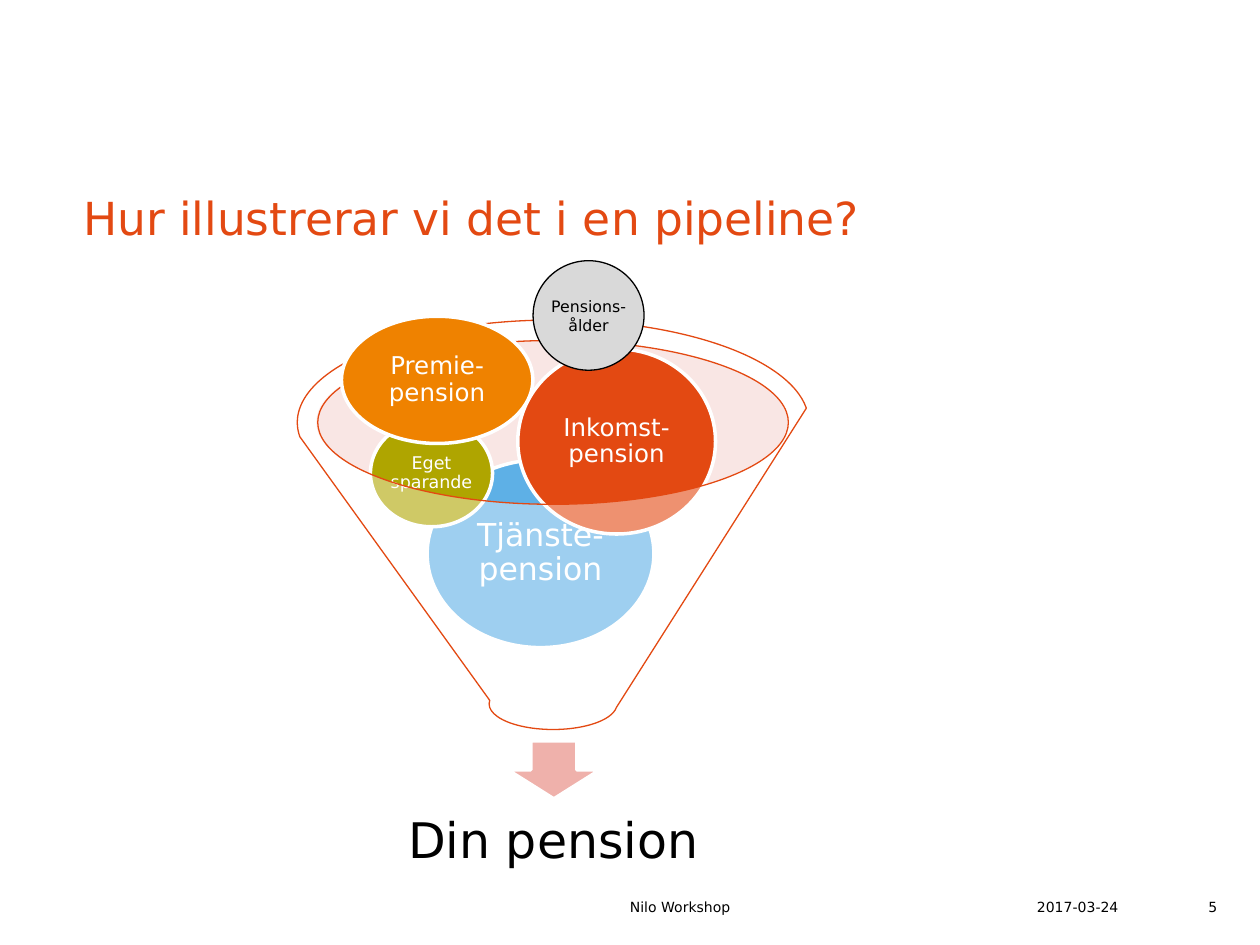
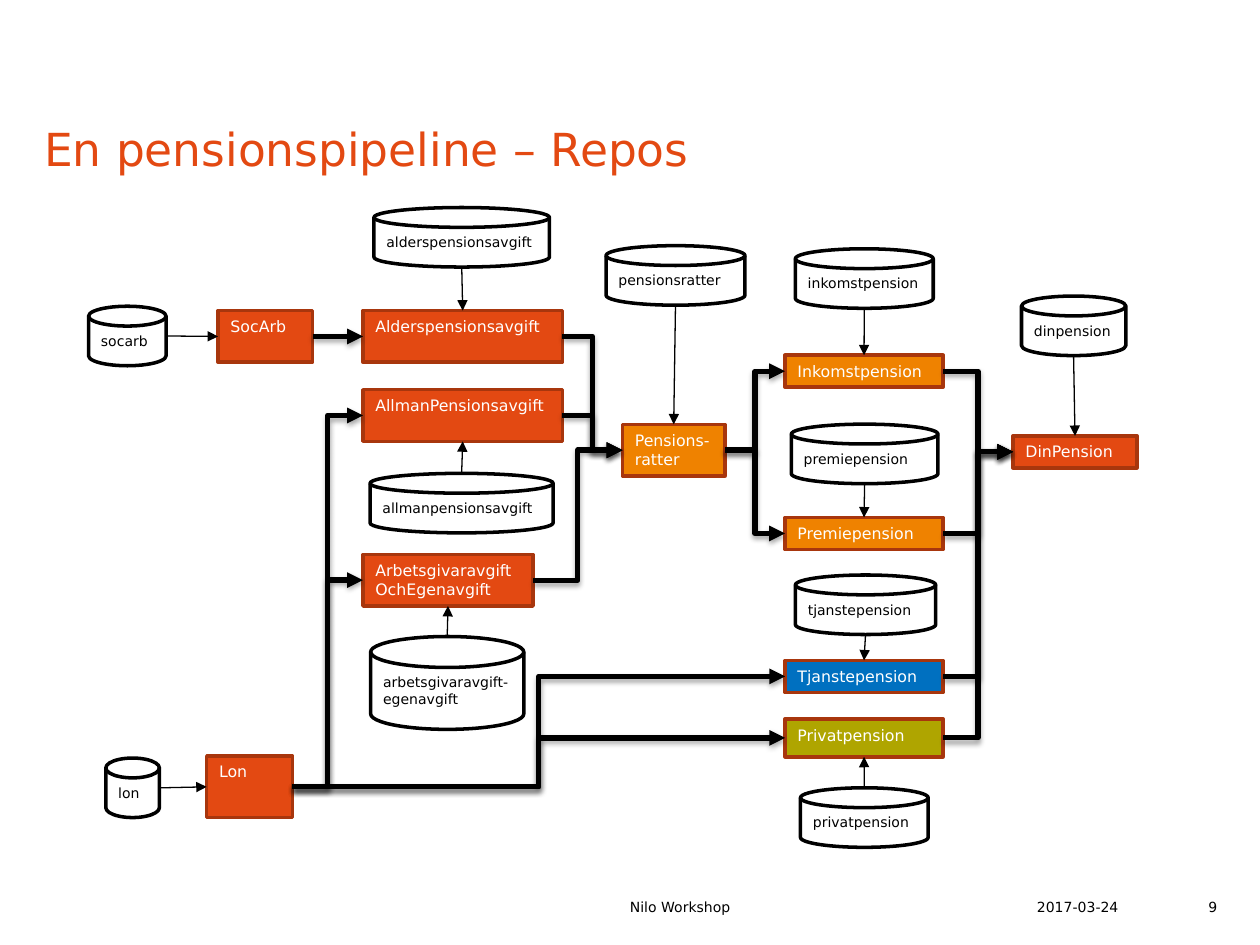
from lxml.etree import SubElement
from pptx import Presentation
from pptx.dml.color import RGBColor
from pptx.enum.shapes import MSO_CONNECTOR, MSO_SHAPE
from pptx.enum.text import MSO_ANCHOR, MSO_AUTO_SIZE, PP_ALIGN
from pptx.oxml.ns import qn
from pptx.util import Pt

RED = RGBColor(0xE3, 0x49, 0x12)
DARK_RED = RGBColor(0xA8, 0x36, 0x0D)
ORANGE = RGBColor(0xEF, 0x82, 0x00)
OLIVE = RGBColor(0xAF, 0xA5, 0x00)
BLUE = RGBColor(0x00, 0x70, 0xC0)
LIGHT_BLUE = RGBColor(0x5E, 0xB0, 0xE6)
PINK = RGBColor(0xF2, 0xC1, 0xBD)
ARROW_PINK = RGBColor(0xEF, 0xB1, 0xAB)
GREY = RGBColor(0xD9, 0xD9, 0xD9)
WHITE = RGBColor(0xFF, 0xFF, 0xFF)
BLACK = RGBColor(0x00, 0x00, 0x00)
FONT = "DejaVu Sans"
MARGINS = (7.2, 3.6)


def write(shape, text, size, color, align=PP_ALIGN.LEFT, anchor=MSO_ANCHOR.TOP,
          margins=MARGINS, spacing=1.0):
    """Fill the shape's text frame; margins are (sides, top and bottom)."""
    side, edge = margins
    frame = shape.text_frame
    frame.text = text
    frame_format = {
        "word_wrap": True, "auto_size": MSO_AUTO_SIZE.NONE, "vertical_anchor": anchor,
        "margin_left": Pt(side), "margin_right": Pt(side),
        "margin_top": Pt(edge), "margin_bottom": Pt(edge),
    }
    for name, value in frame_format.items():
        setattr(frame, name, value)
    for para in frame.paragraphs:
        para.alignment = align
        para.line_spacing = spacing
        for name, value in {"name": FONT, "size": Pt(size)}.items():
            setattr(para.font, name, value)
        para.font.color.rgb = color


def draw(page, kind, place, fill, line=None, width=2, opacity=None):
    shape = page.shapes.add_shape(kind, *map(Pt, place))
    shape.shadow.inherit = False
    shape.fill.solid()
    shape.fill.fore_color.rgb = fill
    if opacity:
        tint = shape.element.spPr.find(qn("a:solidFill"))[0]
        SubElement(tint, qn("a:alpha"), val=str(opacity * 1000))
    if line is None:
        shape.line.fill.background()
    else:
        shape.line.color.rgb = line
        shape.line.width = Pt(width)
    return shape


deck = Presentation()
deck.slide_width, deck.slide_height = Pt(720), Pt(540)

# Shared title and footer
pages = []
for title_text, left, top, number in (
    ("Hur illustrerar vi det i en pipeline?", 40.3, 77.8, "5"),
    ("En pensionspipeline – Repos", 18, 38.2, "9"),
):
    page = deck.slides.add_slide(deck.slide_layouts[5])
    title = page.shapes.title
    title.left, title.top, title.width, title.height = map(Pt, (left, top, 638.6, 65.5))
    write(title, title_text, 26, RED, anchor=MSO_ANCHOR.BOTTOM, spacing=Pt(30))
    for text, left, width, align, anchor in (
        ("Nilo Workshop", 352.8, 226.8, PP_ALIGN.LEFT, MSO_ANCHOR.MIDDLE),
        ("2017-03-24", 585.4, 70.6, PP_ALIGN.LEFT, MSO_ANCHOR.BOTTOM),
        (number, 661.7, 41, PP_ALIGN.RIGHT, MSO_ANCHOR.BOTTOM),
    ):
        footer = page.shapes.add_textbox(Pt(left), Pt(509.8), Pt(width), Pt(17))
        write(footer, text, 8, BLACK, align, anchor)
    pages.append(page)
funnel_page, repo_page = pages

# Funnel with the parts of the pension
centred = {"align": PP_ALIGN.CENTER, "anchor": MSO_ANCHOR.MIDDLE}
draw(funnel_page, MSO_SHAPE.OVAL, (180.7, 194.4, 269.3, 93.6), PINK, opacity=40)
draw(funnel_page, MSO_SHAPE.DOWN_ARROW, (290.2, 423.4, 52.6, 33.1), ARROW_PINK, WHITE)
result = funnel_page.shapes.add_textbox(Pt(190.8), Pt(450), Pt(250.6), Pt(62.6))
write(result, "Din pension", 28, BLACK, margins=(15.8, 15.8), spacing=0.9, **centred)

balls = [
    ("Tjänste-pension", (244.1, 262.8, 129.6, 107.3), LIGHT_BLUE, 18),
    ("Eget sparande", (211.7, 239.8, 69.8, 61.2), OLIVE, 10),
    ("Inkomst-pension", (295.9, 199.4, 113, 105.8), RED, 14),
    ("Premie-pension", (195.1, 180.7, 109.4, 72.7), ORANGE, 14),
]
for text, place, fill, size in balls:
    if text.startswith("Premie"):  # lies in front of the funnel and the age ball
        draw(funnel_page, MSO_SHAPE.FUNNEL, (169.9, 182.9, 292.3, 234), WHITE, RED, 0.75, 40)
        age = draw(funnel_page, MSO_SHAPE.OVAL, (304.6, 149, 63.4, 62.6), GREY, BLACK, 0.75)
        write(age, "Pensions-\nålder", 9, BLACK, margins=(0, 0), **centred)
    ball = draw(funnel_page, MSO_SHAPE.OVAL, place, fill, WHITE)
    write(ball, text, size, WHITE, margins=(1, 1), spacing=0.9, **centred)

# Pipelines
columns = {"source": 124.6, "fee": 207.4, "rights": 355.7, "pension": 448.6, "total": 578.9}
boxes = {}
for text, left, top, width, height, fill in (
    ("Lon", 118.1, 432, 49, 35.3, RED),
    ("SocArb", columns["source"], 177.5, 54, 29.5, RED),
    ("Alderspensionsavgift", columns["fee"], 177.5, 114, 29.5, RED),
    ("AllmanPensionsavgift", columns["fee"], 222.7, 114, 29.5, RED),
    ("ArbetsgivaravgiftOchEgenavgift", columns["fee"], 316.8, 97.2, 29.5, RED),
    ("Pensions-ratter", columns["rights"], 242.5, 58.6, 29.5, ORANGE),
    ("Inkomstpension", columns["pension"], 203, 90.3, 18.3, ORANGE),
    ("Premiepension", columns["pension"], 295.7, 90.3, 18.3, ORANGE),
    ("Tjanstepension", columns["pension"], 377.4, 90.3, 18.3, BLUE),
    ("Privatpension", columns["pension"], 410.9, 90.3, 21.6, OLIVE),
    ("DinPension", columns["total"], 249.1, 70.8, 18.3, RED),
):
    box = draw(repo_page, MSO_SHAPE.RECTANGLE, (left, top, width, height), fill, DARK_RED)
    write(box, text, 9, WHITE)
    boxes[text] = box

# Thick arrows run from the right side of a box to the left side of the next
TOP, LEFT, BOTTOM, RIGHT = range(4)
arrows = []
for start, ends in {
    "Lon": ("AllmanPensionsavgift", "ArbetsgivaravgiftOchEgenavgift",
            "Tjanstepension", "Privatpension"),
    "SocArb": ("Alderspensionsavgift",),
    "Alderspensionsavgift": ("Pensions-ratter",),
    "AllmanPensionsavgift": ("Pensions-ratter",),
    "ArbetsgivaravgiftOchEgenavgift": ("Pensions-ratter",),
    "Pensions-ratter": ("Inkomstpension", "Premiepension"),
    "Inkomstpension": ("DinPension",),
    "Premiepension": ("DinPension",),
    "Tjanstepension": ("DinPension",),
    "Privatpension": ("DinPension",),
}.items():
    for end in ends:
        arrow = repo_page.shapes.add_connector(MSO_CONNECTOR.ELBOW, 0, 0, 0, 0)
        arrow.begin_connect(boxes[start], RIGHT)
        arrow.end_connect(boxes[end], LEFT)
        arrows.append((arrow, 3))

# Repositories, each with a thin arrow to its pipeline
for text, left, top, width, height, target, side in (
    ("lon", 60.5, 433.2, 30.6, 34, "Lon", LEFT),
    ("socarb", 50.6, 175, 44.3, 34, "SocArb", LEFT),
    ("alderspensionsavgift", 213.7, 118.6, 100.3, 34, "Alderspensionsavgift", TOP),
    ("allmanpensionsavgift", 211.5, 270.5, 104.6, 34, "AllmanPensionsavgift", BOTTOM),
    ("arbetsgivaravgift-egenavgift", 211.8, 363.7, 87.5, 53.1,
     "ArbetsgivaravgiftOchEgenavgift", BOTTOM),
    ("pensionsratter", 346.3, 140.4, 79.4, 34, "Pensions-ratter", TOP),
    ("inkomstpension", 454.5, 142.2, 78.8, 34, "Inkomstpension", TOP),
    ("premiepension", 452.2, 242.4, 83.8, 34, "Premiepension", TOP),
    ("tjanstepension", 454.5, 328.6, 80.2, 34, "Tjanstepension", TOP),
    ("privatpension", 457.4, 450.2, 73, 34, "Privatpension", BOTTOM),
    ("dinpension", 583.7, 169.2, 59.6, 34, "DinPension", TOP),
):
    place = (left, top, width, height)
    disk = draw(repo_page, MSO_SHAPE.FLOWCHART_MAGNETIC_DISK, place, WHITE, BLACK)
    write(disk, text, 8, BLACK)
    start = {
        LEFT: (left + width, top + height / 2),
        TOP: (left + width / 2, top + height),
        BOTTOM: (left + width / 2, top),
    }[side]
    arrow = repo_page.shapes.add_connector(MSO_CONNECTOR.STRAIGHT, *map(Pt, start + start))
    arrow.end_connect(boxes[target], side)
    arrows.append((arrow, 0.75))

for arrow, width in arrows:
    arrow.line.color.rgb = BLACK
    arrow.line.width = Pt(width)
    properties = arrow.element.spPr
    SubElement(properties.find(qn("a:ln")), qn("a:tailEnd"), type="triangle")
    effects = SubElement(properties, qn("a:effectLst"))
    if width == 3:
        shadow = SubElement(effects, qn("a:outerShdw"), blurRad=str(Pt(3.1)),
                            dist=str(Pt(1.8)), dir="5400000", rotWithShape="0")
        shade = SubElement(shadow, qn("a:srgbClr"), val=str(BLACK))
        SubElement(shade, qn("a:alpha"), val="35000")

deck.save("out.pptx")
